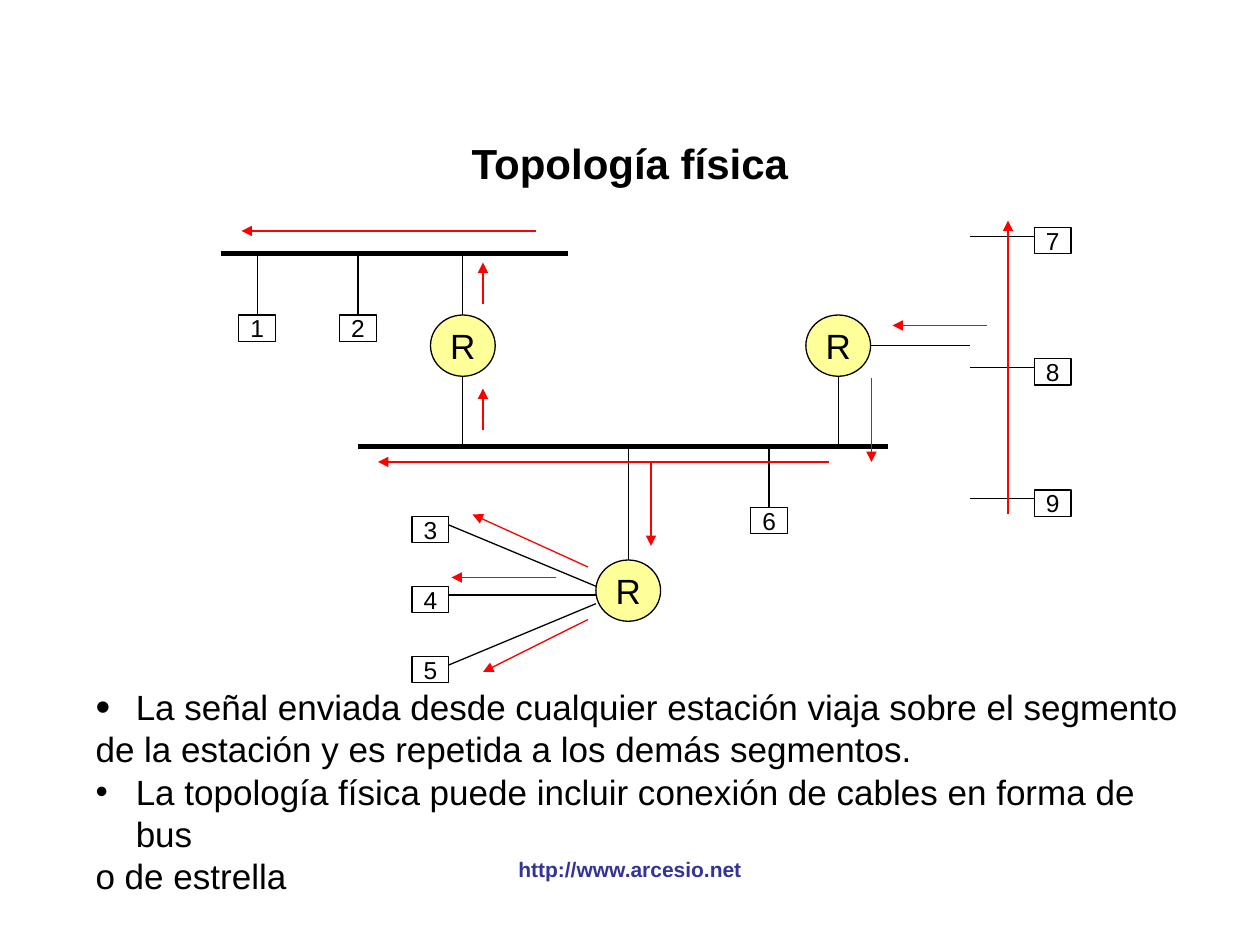
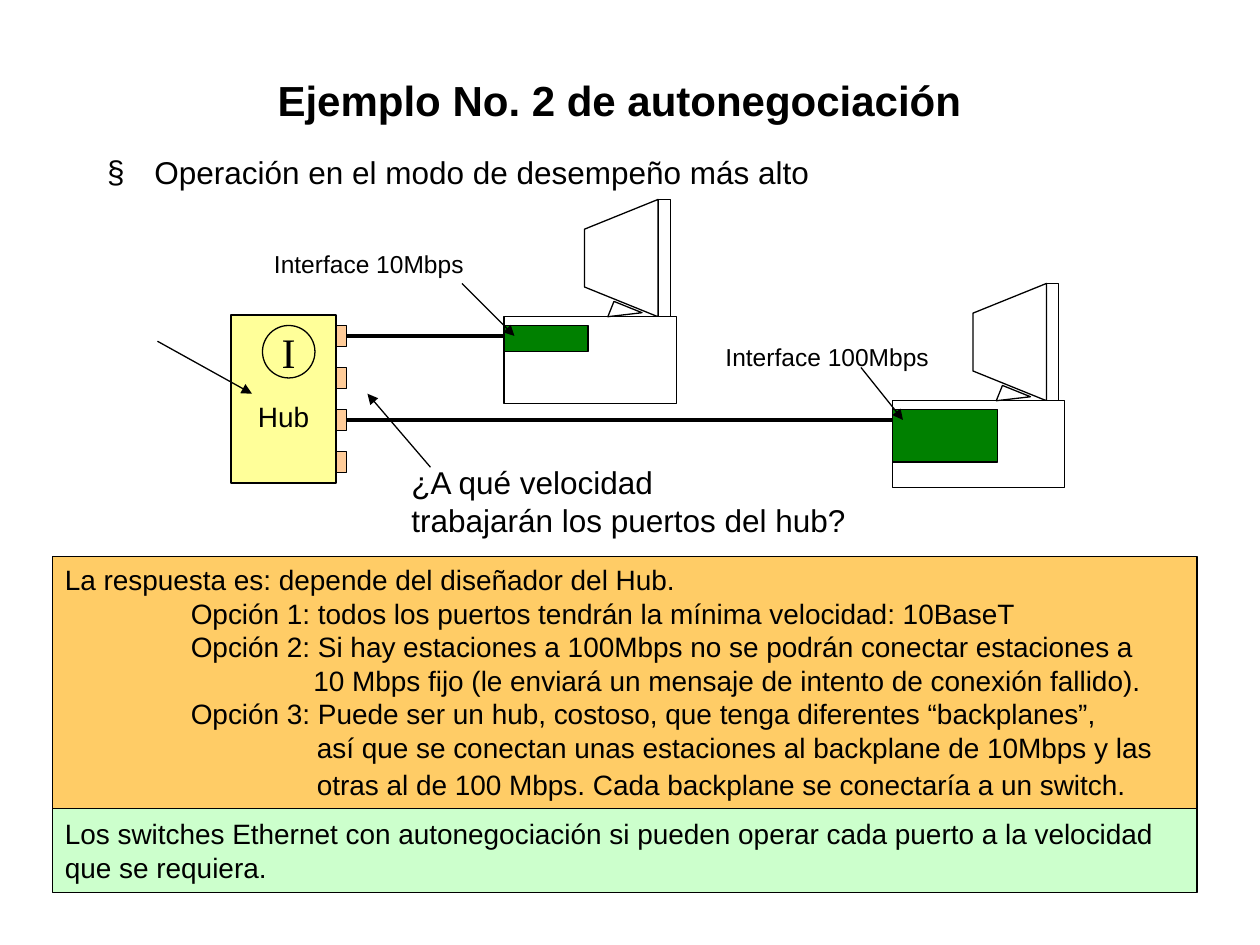
from lxml.etree import SubElement
from pptx import Presentation
from pptx.dml.color import RGBColor
from pptx.enum.shapes import MSO_CONNECTOR, MSO_SHAPE
from pptx.enum.text import MSO_ANCHOR, PP_ALIGN
from pptx.oxml.ns import qn
from pptx.util import Pt

BLACK, WHITE, RED = "000000", "FFFFFF", "FF0000"
YELLOW, PEACH, GREEN = "FFFF99", "FFCC99", "008000"
ORANGE, MINT, NAVY = "FFCC66", "CCFFCC", "333399"
TITLE_ONLY, TITLE_AND_BODY = 5, 1
STATION_W, STATION_H = 21, 15
REPEATER_W, REPEATER_H = 37, 35


def color(hex_value):
    return RGBColor.from_string(hex_value)


class Deck:
    def __init__(self):
        self.presentation = Presentation()
        self.presentation.slide_width = Pt(720)
        self.presentation.slide_height = Pt(540)
        self.slide = None

    def new_slide(self, layout, title, box):
        self.slide = self.presentation.slides.add_slide(
            self.presentation.slide_layouts[layout])
        heading = self.slide.shapes.title
        self.place(heading, *box)
        self.fill_text(heading, [title], 24, bold=True, align=PP_ALIGN.CENTER,
                       anchor=MSO_ANCHOR.MIDDLE)

    def place(self, shape, left, top, width, height):
        shape.left, shape.top = Pt(left), Pt(top)
        shape.width, shape.height = Pt(width), Pt(height)

    def fill_text(self, shape, lines, size, font="Arial", ink=BLACK, bold=False,
                  align=PP_ALIGN.LEFT, anchor=MSO_ANCHOR.TOP, wrap=True):
        frame = shape.text_frame
        frame.word_wrap = wrap
        frame.vertical_anchor = anchor
        for number, line in enumerate(lines):
            paragraph = frame.add_paragraph() if number else frame.paragraphs[0]
            paragraph.alignment = align
            paragraph.space_before = Pt(0)
            run = paragraph.add_run()
            run.text = line
            run.font.name = font
            run.font.size = Pt(size)
            run.font.bold = bold
            run.font.color.rgb = color(ink)
        return frame

    def indent(self, paragraph, left, first=0):
        properties = paragraph._p.get_or_add_pPr()
        properties.set("marL", str(Pt(left)))
        properties.set("indent", str(Pt(first)))
        return properties

    def bullet(self, paragraph, mark, hang, percent=100):
        properties = self.indent(paragraph, hang, -hang)
        SubElement(properties, qn("a:buSzPct"), val=str(percent * 1000))
        SubElement(properties, qn("a:buFont"), typeface="Arial")
        SubElement(properties, qn("a:buChar"), char=mark)

    def body(self, lines, size, box):
        placeholder = self.slide.placeholders[1]
        self.place(placeholder, *box)
        for paragraph in self.fill_text(placeholder, lines, size).paragraphs:
            self.bullet(paragraph, "§", 27)

    def text(self, lines, size, box, **style):
        label = self.slide.shapes.add_textbox(*map(Pt, box))
        return self.fill_text(label, lines, size, **style)

    def paint(self, shape, fill):
        shape.shadow.inherit = False
        if fill:
            shape.fill.solid()
            shape.fill.fore_color.rgb = color(fill)
        else:
            shape.fill.background()
        shape.line.color.rgb = color(BLACK)
        shape.line.width = Pt(0.75)
        return shape

    def shape(self, kind, box, fill):
        return self.paint(self.slide.shapes.add_shape(kind, *map(Pt, box)), fill)

    def rect(self, box, fill=WHITE):
        return self.shape(MSO_SHAPE.RECTANGLE, box, fill)

    def polygon(self, points, fill=WHITE):
        start, *rest = [(Pt(x), Pt(y)) for x, y in points]
        builder = self.slide.shapes.build_freeform(*start)
        builder.add_line_segments(rest, close=True)
        return self.paint(builder.convert_to_shape(), fill)

    def symbol(self, shape, label, size, font="Arial"):
        frame = self.fill_text(shape, [label], size, font, align=PP_ALIGN.CENTER,
                               anchor=MSO_ANCHOR.MIDDLE, wrap=False)
        frame.margin_left = frame.margin_right = 0
        frame.margin_top = frame.margin_bottom = 0
        return shape

    def line(self, start, end, ink=BLACK, width=0.75, arrow=False):
        connector = self.slide.shapes.add_connector(
            MSO_CONNECTOR.STRAIGHT, *map(Pt, (*start, *end)))
        connector.line.color.rgb = color(ink)
        connector.line.width = Pt(width)
        properties = connector.element.spPr
        if arrow:
            SubElement(properties.find(qn("a:ln")), qn("a:tailEnd"), type="triangle")
        SubElement(properties, qn("a:effectLst"))
        return connector

    def station(self, label, left, top):
        box = (left, top, STATION_W, STATION_H)
        return self.symbol(self.rect(box), label, 14)

    def repeater(self, center, top):
        box = (center - REPEATER_W / 2, top, REPEATER_W, REPEATER_H)
        return self.symbol(self.shape(MSO_SHAPE.OVAL, box, YELLOW), "R", 20)

    def drop(self, center, bus, top, node):
        self.line((center, bus), (center, top)).end_connect(node, 0)

    def computer(self, left, top, card_width, card_height):
        self.rect((left + 88, top - 67, 7, 67))
        self.polygon([(left + x, top + y)
                      for x, y in ((88, 0), (46, -17), (46, -50), (88, -67))])
        self.rect((left, top, 98.5, 49.5))
        stand = self.shape(MSO_SHAPE.RIGHT_TRIANGLE,
                           (left + 64.4, top - 9.8, 9.4, 17.3), WHITE)
        stand.rotation = 112
        self.rect((left, top + 5, card_width, card_height), GREEN)


def physical_topology(deck):
    deck.new_slide(TITLE_ONLY, "Topología física", (54, 48, 612, 90))
    deck.text(["http://www.arcesio.net"], 12, (246, 486, 228, 21.6), ink=NAVY,
              bold=True, align=PP_ALIGN.CENTER, anchor=MSO_ANCHOR.BOTTOM)

    upper_bus, lower_bus, node_top = 145, 255, 180
    deck.line((126, upper_bus), (324.5, upper_bus), width=3)
    deck.line((204.5, lower_bus), (507.5, lower_bus), width=3)

    for label, center, bus, top in (("1", 147, upper_bus, node_top),
                                    ("2", 204.5, upper_bus, node_top),
                                    ("6", 439.5, lower_bus, 290)):
        station = deck.station(label, center - STATION_W / 2, top)
        deck.drop(center, bus, top, station)

    left_center, right_center, star_center, star_top = 264.5, 479, 359, 320
    deck.drop(left_center, upper_bus, node_top, deck.repeater(left_center, node_top))
    deck.drop(star_center, lower_bus, star_top, deck.repeater(star_center, star_top))
    deck.repeater(right_center, node_top)
    for center in (left_center, right_center):
        deck.line((center, node_top + REPEATER_H), (center, lower_bus))

    spine = 554.5
    side = node_top + REPEATER_H / 2
    deck.line((right_center + REPEATER_W / 2, side), (spine, side))

    for row in range(3):
        star_row, spine_row = 295 + 40 * row, 130 + 75 * row
        deck.line((star_center - REPEATER_W / 2, 335 + 5 * row),
                  (235.5 + STATION_W, star_row + 5))
        deck.station(str(3 + row), 235.5, star_row)
        deck.line((spine, spine_row + 5), (591, spine_row + 5))
        deck.station(str(7 + row), 591, spine_row)

    signals = (
        ((576, 294), (576, 126)), ((564, 186), (510, 186)),
        ((498, 216), (498, 264)), ((474, 264), (216, 264)),
        ((372, 264), (372, 312)), ((276, 246), (276, 222)),
        ((336, 324), (270, 294)), ((318, 330), (258, 330)),
        ((336, 354), (276, 384)), ((276, 174), (276, 150)),
        ((306, 132), (138, 132)),
    )
    for start, end in signals:
        deck.line(start, end, RED, arrow=True)

    notes = deck.text(
        ["La señal enviada desde cualquier estación viaja sobre el segmento",
         "de la estación y es repetida a los demás segmentos.",
         "La topología física puede incluir conexión de cables en forma de bus",
         "o de estrella"],
        20, (47.5, 387, 641.5, 130), anchor=MSO_ANCHOR.MIDDLE)
    deck.bullet(notes.paragraphs[0], "•", 23, 120)
    deck.bullet(notes.paragraphs[2], "•", 23)


def autonegotiation(deck):
    deck.new_slide(TITLE_AND_BODY, "Ejemplo No. 2 de autonegociación",
                   (48, 24, 612, 66))
    deck.body(["Operación en el modo de desempeño más alto"], 18, (54, 84, 612, 36))

    hub = deck.symbol(deck.rect((132, 180, 60, 96), YELLOW), "Hub", 16)
    hub.text_frame.margin_top = Pt(20)
    ports = [deck.rect((192, 186 + 24 * row, 6, 12), PEACH) for row in range(4)]
    for port, y, computer_left in ((ports[0], 192, 288), (ports[2], 240, 510)):
        deck.line((198, y), (computer_left, y), width=2).begin_connect(port, 3)
    deck.computer(510, 229, 60, 30)
    deck.computer(288, 181, 48, 15)
    deck.symbol(deck.shape(MSO_SHAPE.OVAL, (150, 186, 30, 30), None),
                "I", 24, "Times New Roman")

    deck.text(["Interface 100Mbps"], 14, (407.5, 192, 136, 24.5))
    deck.text(["Interface 10Mbps"], 14, (149.5, 138.5, 128, 24.5))
    deck.text(["¿A qué velocidad", "trabajarán los puertos del hub?"], 18,
              (228, 261, 270, 50))
    for start, end in (((492, 210), (516, 240)), ((264, 162), (294, 192)),
                       ((246, 267), (210, 225)), ((90, 195), (144, 225))):
        deck.line(start, end, arrow=True)

    answer = (
        (0, "La respuesta es: depende del diseñador del Hub."),
        (72, "Opción 1: todos los puertos tendrán la mínima velocidad: 10BaseT"),
        (72, "Opción 2: Si hay estaciones a 100Mbps no se podrán conectar estaciones a"),
        (142, "10 Mbps fijo (le enviará un mensaje de intento de conexión fallido)."),
        (72, "Opción 3: Puede ser un hub, costoso, que tenga diferentes “backplanes”,"),
        (144, "así que se conectan unas estaciones al backplane de 10Mbps y las"),
        (144, "otras al de 100 Mbps. Cada backplane se conectaría a un switch."),
    )
    frame = deck.fill_text(deck.rect((30, 318, 654, 144), ORANGE),
                           [line for _, line in answer], 16)
    for paragraph, (left, _) in zip(frame.paragraphs, answer):
        deck.indent(paragraph, left)
    frame.paragraphs[-1].space_before = Pt(2)
    deck.fill_text(deck.rect((30, 462, 654, 48), MINT),
                   ["Los switches Ethernet con autonegociación si pueden operar "
                    "cada puerto a la velocidad", "que se requiera."],
                   16, anchor=MSO_ANCHOR.MIDDLE)


def main():
    deck = Deck()
    physical_topology(deck)
    autonegotiation(deck)
    deck.presentation.save("out.pptx")


if __name__ == "__main__":
    main()
